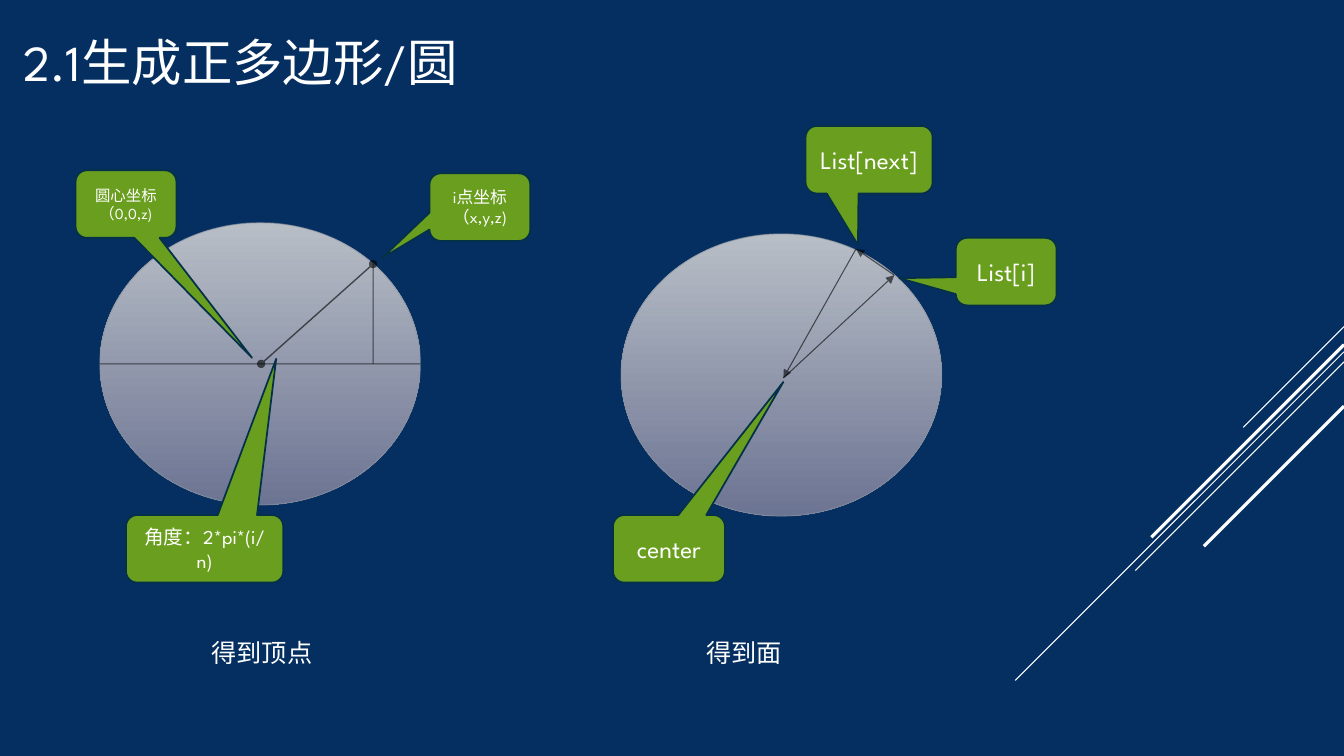
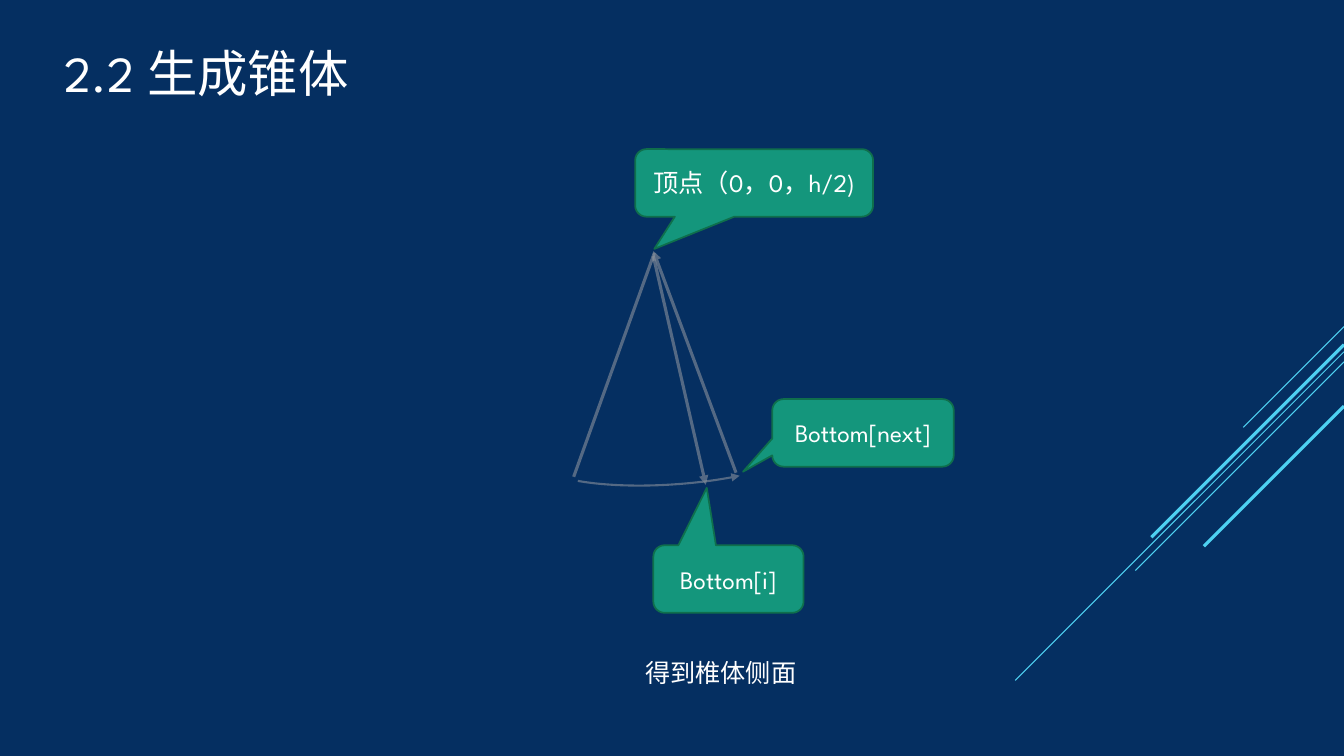
import pptx
import pptx.dml.color
import pptx.enum.dml
import pptx.enum.shapes
import pptx.enum.text
import pptx.oxml
import pptx.oxml.ns
import pptx.util
from pptx.util import Inches

RGB = pptx.dml.color.RGBColor
SHAPE = pptx.enum.shapes.MSO_SHAPE
ALIGN = pptx.enum.text.PP_ALIGN
ANCHOR = pptx.enum.text.MSO_ANCHOR

FONT = "League Spartan"
NAVY = RGB(0x05, 0x2F, 0x61)
WHITE = RGB(0xFF, 0xFF, 0xFF)
CYAN = RGB(0x4E, 0xD1, 0xF1)
BLACK = RGB(0x00, 0x00, 0x00)
GREY = RGB(0x89, 0x91, 0x9C)
DISC_TOP = RGB(0xB8, 0xBE, 0xC6)
DISC_BOTTOM = RGB(0x6C, 0x74, 0x93)
GREEN = (RGB(0x6A, 0x9E, 0x1F), RGB(0x04, 0x31, 0x48))  # fill, outline
TEAL = (RGB(0x14, 0x96, 0x7C), RGB(0x0F, 0x6F, 0x4C))

SLIDE_W, SLIDE_H = 13.33, 7.5
CALLOUT_H = 0.67
# Diagonal stripes at the right edge: top, run, line width
STRIPES = [(3.24, 1, 0.75), (3.49, 3.26, 0.75), (3.59, 2.07, 0.75),
           (3.42, 1.91, 2.25), (4.03, 1.39, 2.25)]


# Lines
def style_line(line, color, width, alpha=100, head=None, tail=None):
    line.color.rgb = color
    line.width = pptx.util.Pt(width)
    ln = line._get_or_add_ln()
    if alpha < 100:
        clr = ln.find(".//" + pptx.oxml.ns.qn("a:srgbClr"))
        add_xml(clr, "alpha", val=alpha * 1000)
    for tag, kind in (("headEnd", head), ("tailEnd", tail)):
        if kind:
            add_xml(ln, tag, type=kind)


def add_xml(parent, tag, **attrs):
    el = pptx.oxml.ns.qn("a:" + tag)
    child = parent.makeelement(el, {k: str(v) for k, v in attrs.items()})
    parent.append(child)


def add_line(s, start, end, color=BLACK, width=0.75, alpha=60,
             head=None, tail=None):
    points = [Inches(v) for v in (*start, *end)]
    cx = s.shapes.add_connector(pptx.enum.shapes.MSO_CONNECTOR.STRAIGHT,
                                *points)
    style_line(cx.line, color, width, alpha, head, tail)
    add_xml(cx._element.spPr, "effectLst")


# Text
def add_run(p, text, size):
    r = p.add_run()
    r.text = text
    r.font.name = FONT
    r.font.size = pptx.util.Pt(size)
    r.font.color.rgb = WHITE


def add_text(s, box, text, size, anchor=ANCHOR.TOP):
    tf = s.shapes.add_textbox(*[Inches(v) for v in box]).text_frame
    tf.word_wrap = True
    tf.vertical_anchor = anchor
    add_run(tf.paragraphs[0], text, size)


def add_caption(s, left, top, text):
    add_text(s, (left, top, 2.14, 0.4), text, 18)


# Shapes
def add_shape(s, kind, left, top, width, height):
    sp = s.shapes.add_shape(kind, Inches(left), Inches(top),
                            Inches(width), Inches(height))
    sp.shadow.inherit = False
    return sp


def add_disc(s, left, top):
    sp = add_shape(s, SHAPE.OVAL, left, top, 3.18, 2.8)
    sp.fill.gradient()
    sp.fill.gradient_angle = 270
    for stop, color in zip(sp.fill.gradient_stops, (DISC_TOP, DISC_BOTTOM)):
        stop.color.rgb = color
    style_line(sp.line, GREY, 0.75, 60)


def add_callout(s, left, top, width, tip, text, colors, size=18):
    sp = add_shape(s, SHAPE.ROUNDED_RECTANGULAR_CALLOUT,
                   left, top, width, CALLOUT_H)
    # The pointer is measured from the centre, in box sizes
    sp.adjustments[0] = (tip[0] - left) / width - 0.5
    sp.adjustments[1] = (tip[1] - top) / CALLOUT_H - 0.5
    fill, outline = colors
    sp.fill.solid()
    sp.fill.fore_color.rgb = fill
    style_line(sp.line, outline, 1.25)
    tf = sp.text_frame
    tf.word_wrap = True
    tf.vertical_anchor = ANCHOR.MIDDLE
    p = tf.paragraphs[0]
    p.alignment = ALIGN.CENTER
    add_run(p, text, size)


def add_arc(s, box, rotation, start, end):
    sp = add_shape(s, SHAPE.ARC, *box)
    sp.rotation = rotation
    for i, degrees in enumerate((start, end)):
        sp.adjustments[i] = degrees * 0.6  # 60000 units a degree
    sp.fill.background()
    style_line(sp.line, GREY, 1.5, 60, head="triangle")


# Slides
def add_slide(prs, title, title_box, stripe_color):
    s = prs.slides.add_slide(prs.slide_layouts[6])
    s.background.fill.solid()
    s.background.fill.fore_color.rgb = NAVY
    for top, run, width in STRIPES:
        add_line(s, (SLIDE_W, top), (SLIDE_W - run, top + run),
                 stripe_color, width, alpha=100)
    add_text(s, title_box, title, 36, ANCHOR.MIDDLE)
    return s


def add_circle_slide(prs):
    s = add_slide(prs, "2.1生成正多边形/圆", (0.13, 0.2, 11.51, 0.81), WHITE)

    # Vertices
    center, foot, vertex = (2.59, 3.61), (3.7, 3.61), (3.7, 2.62)
    add_disc(s, 0.99, 2.21)
    add_line(s, (0.99, 3.61), (4.17, 3.61))
    add_line(s, center, vertex, width=1, head="oval", tail="oval")
    add_line(s, vertex, foot)
    for left, top, width, tip, text, size in [
            (4.26, 1.72, 1, (3.79, 2.56), "i点坐标（x,y,z)", 12),
            (1.25, 5.11, 1.56, (2.74, 3.56), "角度：2*pi*(i/n)", 14),
            (0.75, 1.69, 1, (2.5, 3.55), "圆心坐标（0,0,z)", 11)]:
        add_callout(s, left, top, width, tip, text, GREEN, size)
    add_caption(s, 2, 6.27, "得到顶点")

    # Faces
    center, current, following = (7.77, 3.75), (8.87, 2.73), (8.49, 2.47)
    add_disc(s, 6.16, 2.32)
    for start, end in [(center, current), (current, following),
                       (following, center)]:
        add_line(s, start, end, tail="triangle")
    for left, top, width, tip, text in [
            (9.48, 2.36, 1, (8.92, 2.76), "List[i]"),
            (7.99, 1.25, 1.26, (8.51, 2.43), "List[next]"),
            (6.08, 5.11, 1.11, (7.77, 3.79), "center")]:
        add_callout(s, left, top, width, tip, text, GREEN)
    add_caption(s, 6.91, 6.27, "得到面")


def add_cone_slide(prs):
    s = add_slide(prs, "2.2 生成锥体", (0.54, -0.11, 9.33, 1.65), CYAN)

    # Cone outline
    for start, end, tail in [((6.49, 2.51), (5.69, 4.73), None),
                             ((7.3, 4.69), (6.48, 2.49), "triangle"),
                             ((6.48, 2.54), (7, 4.81), "triangle")]:
        add_line(s, start, end, GREY, 2.25, tail=tail)
    add_arc(s, (5.23, 3.96, 3.01, 0.84), 175.2, 214.26, 343.53)

    # Labels
    for left, top, width, tip, text in [
            (6.48, 5.41, 1.49, (7.01, 4.84), "Bottom[i]"),
            (7.66, 3.96, 1.8, (7.37, 4.68), "Bottom[next]"),
            (6.3, 1.48, 2.36, (6.49, 2.47), "顶点（0，0，h/2)")]:
        add_callout(s, left, top, width, tip, text, TEAL)
    add_caption(s, 6.3, 6.47, "得到椎体侧面")


def main():
    prs = pptx.Presentation()
    prs.slide_width = Inches(SLIDE_W)
    prs.slide_height = Inches(SLIDE_H)
    add_circle_slide(prs)
    add_cone_slide(prs)
    prs.save("out.pptx")


if __name__ == "__main__":
    main()
